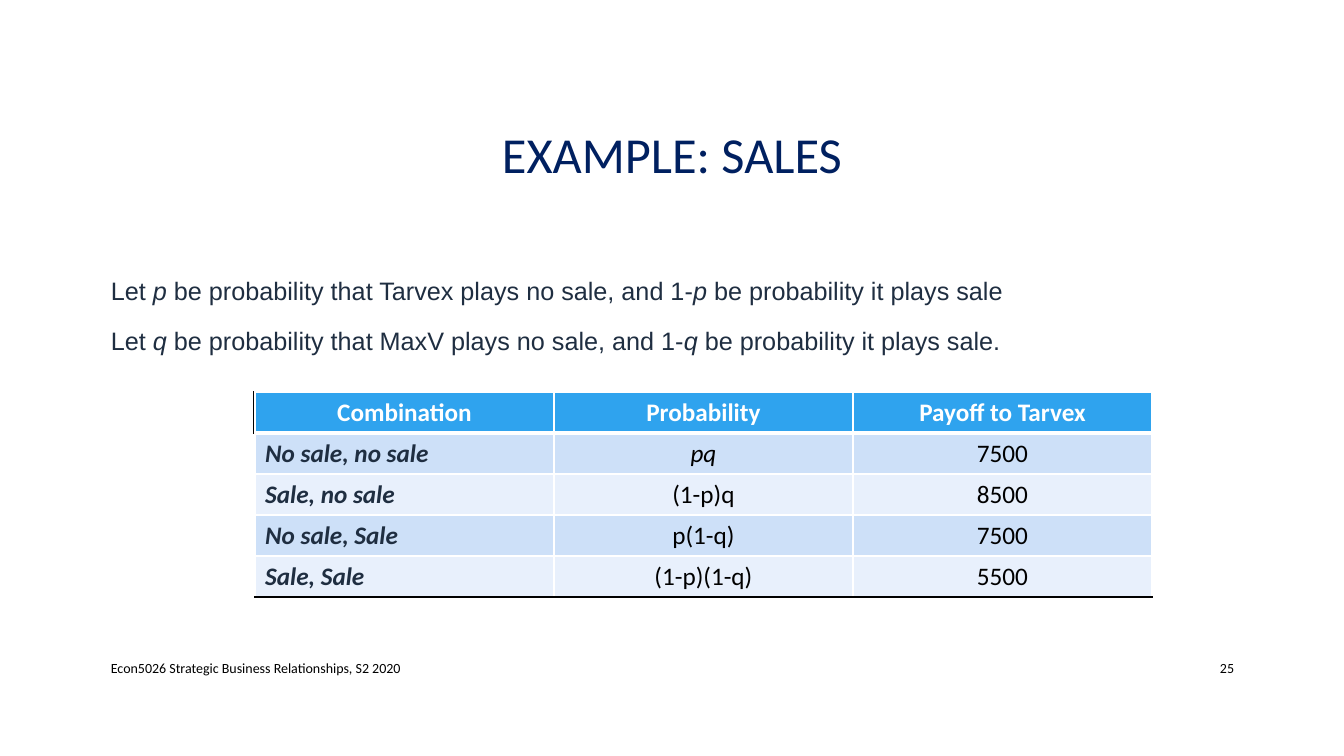
import pptx
import pptx.dml.color
import pptx.enum.text
import pptx.oxml
import pptx.oxml.ns
import pptx.util

ALIGN = pptx.enum.text.PP_ALIGN
ANCHOR = pptx.enum.text.MSO_ANCHOR


class SlideBuilder:
    """Holds the style and the current slide, and adds each kind of element."""

    scale = 914400 / 100.8
    colors = {"title": "002060", "body": "1F2E41", "black": "000000", "white": "FFFFFF",
              "header": "2FA3EE", "band": "CDE0F8", "light": "E8F0FC"}

    def __init__(self, width, height):
        self.deck = pptx.Presentation()
        self.deck.slide_width = self.px(width)
        self.deck.slide_height = self.px(height)
        self.slide = self.deck.slides.add_slide(self.deck.slide_layouts[6])

    def px(self, length):
        return pptx.util.Emu(round(length * self.scale))

    def color(self, name):
        return pptx.dml.color.RGBColor.from_string(self.colors[name])

    def run(self, paragraph, words, size, color, font="Calibri", bold=False, italic=False):
        run = paragraph.add_run()
        run.text = words
        run.font.name = font
        run.font.size = pptx.util.Pt(size)
        run.font.bold = bold
        run.font.italic = italic
        run.font.color.rgb = self.color(color)

    def text(self, box, paragraphs, size, color, font="Calibri", align=ALIGN.LEFT,
             anchor=ANCHOR.MIDDLE, spacing=1.0, before=0):
        frame = self.slide.shapes.add_textbox(*map(self.px, box)).text_frame
        frame.word_wrap = True
        frame.vertical_anchor = anchor
        for index, runs in enumerate(paragraphs):
            paragraph = frame.add_paragraph() if index else frame.paragraphs[0]
            paragraph.alignment = align
            paragraph.line_spacing = spacing
            paragraph.space_before = pptx.util.Pt(before if index else 0)
            for words, italic in runs:
                self.run(paragraph, words, size, color, font, italic=italic)

    def table(self, left, top, rows, columns, column_width, row_height):
        frame = self.slide.shapes.add_table(
            rows, columns, self.px(left), self.px(top),
            self.px(column_width * columns), self.px(row_height * rows))
        for column in frame.table.columns:
            column.width = self.px(column_width)
        for row in frame.table.rows:
            row.height = self.px(row_height)
        return frame.table

    def borders(self, cell, color="white", **special):
        properties = cell._tc.get_or_add_tcPr()
        for side in "LRTB":
            name, points = special.get(side, (color, 1))
            properties.append(pptx.oxml.parse_xml(
                f'<a:ln{side} {pptx.oxml.ns.nsdecls("a")} w="{pptx.util.Pt(points)}">'
                f'<a:solidFill><a:srgbClr val="{self.colors[name]}"/></a:solidFill>'
                f'</a:ln{side}>'))

    def outline(self, left, top, width, height):
        cell = self.table(left, top, 1, 1, width, height).cell(0, 0)
        self.borders(cell, "black")
        cell.fill.background()

    def payoffs(self, left, top, column_width, row_height, rows):
        grid = self.table(left, top, len(rows), len(rows[0]), column_width, row_height)
        for r, values in enumerate(rows):
            special = {}
            if r == 0:
                special["B"] = ("white", 3)
            elif r == 1:
                special["T"] = ("white", 3)
            elif r == len(rows) - 1:
                special["B"] = ("black", 1)
            fill = "header" if r == 0 else "band" if r % 2 else "light"
            for c, value in enumerate(values):
                cell = grid.cell(r, c)
                self.borders(cell, **special)
                cell.fill.solid()
                cell.fill.fore_color.rgb = self.color(fill)
                combination = r > 0 and c == 0
                paragraph = cell.text_frame.paragraphs[0]
                paragraph.alignment = ALIGN.LEFT if combination else ALIGN.CENTER
                color = "white" if r == 0 else "body" if combination else "black"
                self.run(paragraph, value, 18, color, bold=r == 0 or combination,
                         italic=combination or value == "pq")


def main():
    sales = SlideBuilder(1344, 756)
    sales.outline(254, 392, 896, 41)
    sales.text((101, 69, 1142, 176), [[("EXAMPLE: SALES", False)]], 36, "title",
               align=ALIGN.CENTER, spacing=0.9)
    definitions = [
        [("Let ", False), (symbol, True),
         (f" be probability that {store} plays no sale, and 1-", False),
         (symbol, True), (f" be probability it plays sale{end}", False)]
        for symbol, store, end in (("p", "Tarvex", ""), ("q", "MaxV", "."))]
    sales.text((101, 264, 1142, 374), definitions, 18, "body", font="Arial",
               anchor=ANCHOR.TOP, spacing=1.2, before=10)
    sales.text((101, 648, 736, 40),
               [[("Econ5026 Strategic Business Relationships, S2 2020", False)]], 10, "black")
    sales.text((1159, 648, 85, 40), [[("25", False)]], 10, "black", align=ALIGN.RIGHT)
    sales.payoffs(255, 392, 299, 41, [
        ("Combination", "Probability", "Payoff to Tarvex"),
        ("No sale, no sale", "pq", "7500"),
        ("Sale, no sale", "(1-p)q", "8500"),
        ("No sale, Sale", "p(1-q)", "7500"),
        ("Sale, Sale", "(1-p)(1-q)", "5500")])
    sales.deck.save("out.pptx")


if __name__ == "__main__":
    main()
